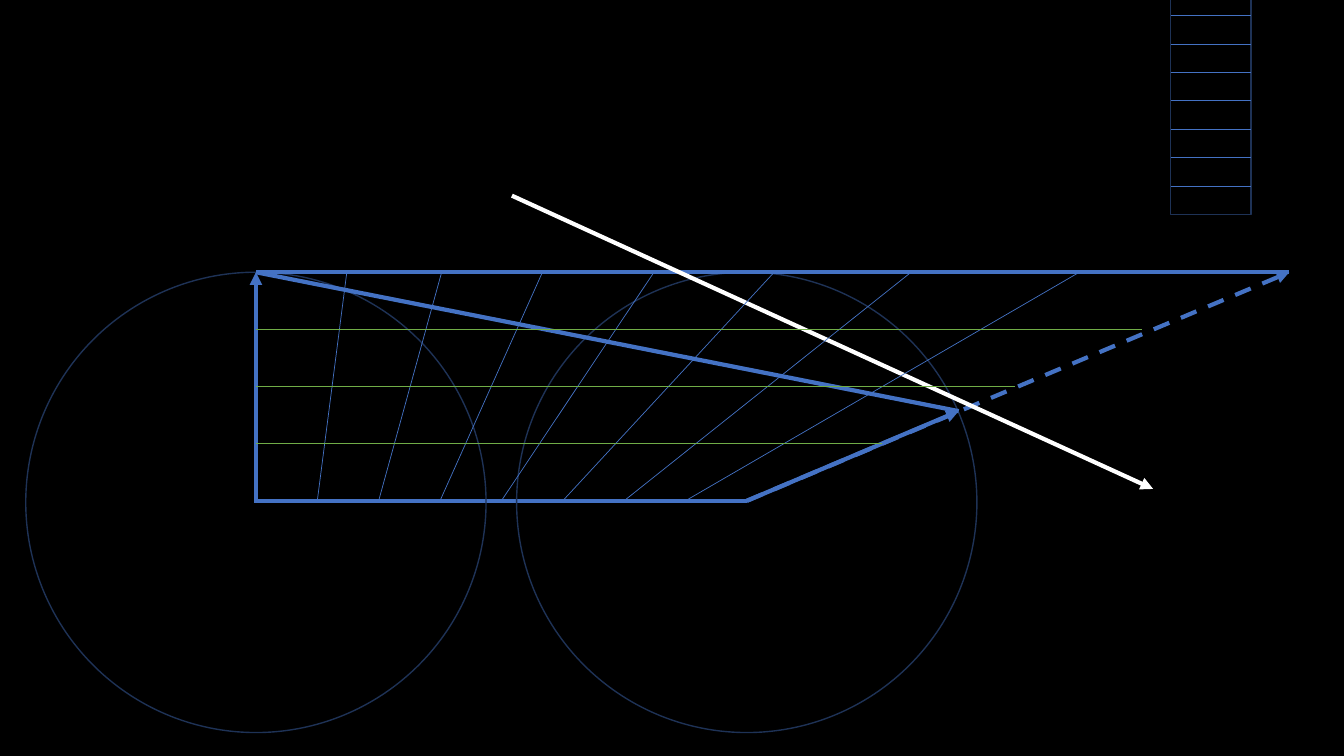
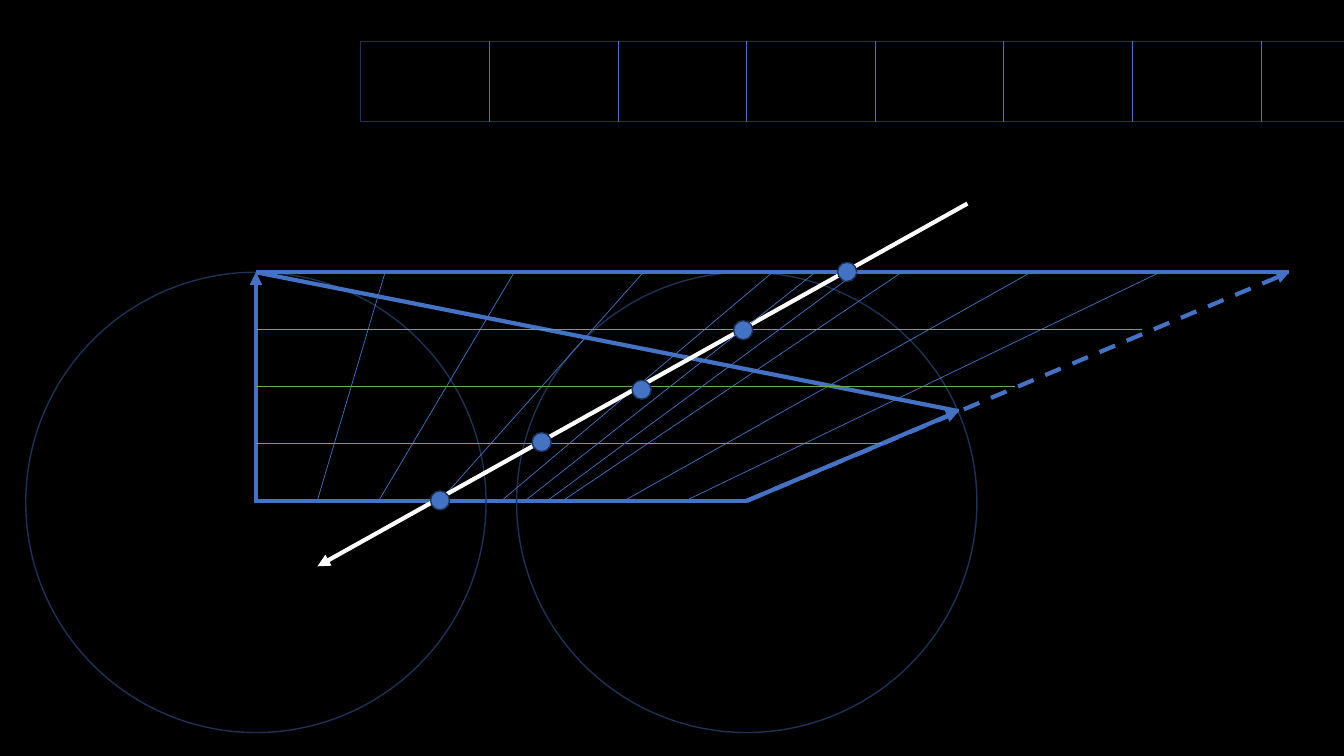
from lxml import etree
from pptx import Presentation
from pptx.dml.color import RGBColor
from pptx.enum import dml, shapes
from pptx.oxml import ns
from pptx.util import Cm, Pt

BLUE, NAVY, GREEN, WHITE, BLACK = "4472C4", "1E3256", "70AD47", "FFFFFF", "000000"
THICK, THIN = 3, 0.5
LEFT, TOP, BOTTOM = 6.45, 6.86, 12.62
BASE_RIGHT, TOP_RIGHT = 18.82, 32.49
DIAMETER = 11.6
PARTS = 8


def draw_line(target, start, end, color=BLUE, width=THICK, arrow=False, dashed=False):
    points = [Cm(value) for value in (*start, *end)]
    line = target.shapes.add_connector(shapes.MSO_CONNECTOR.STRAIGHT, *points)
    line.line.color.rgb = RGBColor.from_string(color)
    line.line.width = Pt(width)
    if dashed:
        line.line.dash_style = dml.MSO_LINE.DASH
    properties = line.line._get_or_add_ln()
    if arrow:
        etree.SubElement(properties, ns.qn("a:tailEnd"), type="triangle")
    etree.SubElement(properties.getparent(), ns.qn("a:effectLst"))
    return line


def draw_shape(target, kind, left, top, width, height, fill=None):
    shape = target.shapes.add_shape(kind, Cm(left), Cm(top), Cm(width), Cm(height))
    shape.shadow.inherit = False
    if fill:
        shape.fill.solid()
        shape.fill.fore_color.rgb = RGBColor.from_string(fill)
    else:
        shape.fill.background()
    shape.line.color.rgb = RGBColor.from_string(NAVY)
    shape.line.width = Pt(1)
    return shape


deck = Presentation()
deck.slide_width, deck.slide_height = Cm(33.87), Cm(19.05)
backdrop = deck.slide_master.background.fill
backdrop.solid()
backdrop.fore_color.rgb = RGBColor.from_string(BLACK)
OVAL, RECTANGLE = shapes.MSO_SHAPE.OVAL, shapes.MSO_SHAPE.RECTANGLE

corner, tip = (LEFT, TOP), (24.16, 10.36)
base_end, far_tip = (BASE_RIGHT, BOTTOM), (TOP_RIGHT, TOP)
pages = [deck.slides.add_slide(deck.slide_layouts[6]) for _ in range(2)]
for page in pages:
    draw_line(page, (LEFT, BOTTOM), base_end)
    wheel = page.shapes.add_group_shape()
    draw_line(wheel, (LEFT, BOTTOM + 0.05), corner, arrow=True)
    draw_shape(wheel, OVAL, LEFT - DIAMETER / 2, TOP, DIAMETER, DIAMETER)
    draw_line(page, base_end, tip, arrow=True)
    draw_shape(page, OVAL, BASE_RIGHT - DIAMETER / 2, TOP, DIAMETER, DIAMETER)
    draw_line(page, corner, tip)
    draw_line(page, base_end, far_tip, arrow=True, dashed=True)
    draw_line(page, corner, far_tip)

steep_page, even_page = pages
draw_line(steep_page, (12.9, 4.93), (29.06, 12.32), WHITE, arrow=True)

rulers = [
    (steep_page, 29.5, -0.32, 2.03, 5.72),
    (even_page, 9.09, 1.04, 25.93, 2.03),
]
for page, left, top, width, height in rulers:
    ruler = page.shapes.add_group_shape()
    frame = draw_shape(ruler, RECTANGLE, left, top, width, height)
    for part in range(1, PARTS):
        if height > width:
            y = top + height * part / PARTS
            start, end, sides = (left, y), (left + width, y), (1, 3)
        else:
            x = left + width * part / PARTS
            start, end, sides = (x, top + height), (x, top), (2, 0)
        tick = draw_line(ruler, start, end, width=THIN)
        if part == PARTS / 2:
            tick.begin_connect(frame, sides[0])
            tick.end_connect(frame, sides[1])

steep_tops = [8.74, 11.13, 13.67, 16.48, 19.51, 22.96, 27.2]
even_tops = [LEFT + (TOP_RIGHT - LEFT) * part / PARTS for part in range(1, PARTS)]
level_ends = [28.78, 25.58, 22.23]
for page, tops in zip(pages, (steep_tops, even_tops)):
    for part, top_x in enumerate(tops, 1):
        base_x = LEFT + (BASE_RIGHT - LEFT) * part / PARTS
        draw_line(page, (base_x, BOTTOM), (top_x, TOP), width=THIN)
    for level, end_x in enumerate(level_ends, 1):
        y = TOP + (BOTTOM - TOP) * level / 4
        draw_line(page, (LEFT, y), (end_x, y), GREEN, THIN)

draw_line(even_page, (24.38, 5.13), (8, 14.27), WHITE, arrow=True)
DOT = 0.48
crossings = [(21.35, 6.85), (18.73, 8.32), (16.17, 9.82), (13.65, 11.14), (11.09, 12.61)]
for x, y in crossings:
    draw_shape(even_page, OVAL, x - DOT / 2, y - DOT / 2, DOT, DOT, BLUE)
for base_x, top_x in [(13.79, 21.59), (13.23, 20.55)]:
    draw_line(even_page, (base_x, BOTTOM), (top_x, TOP), width=THIN)

deck.save("out.pptx")
